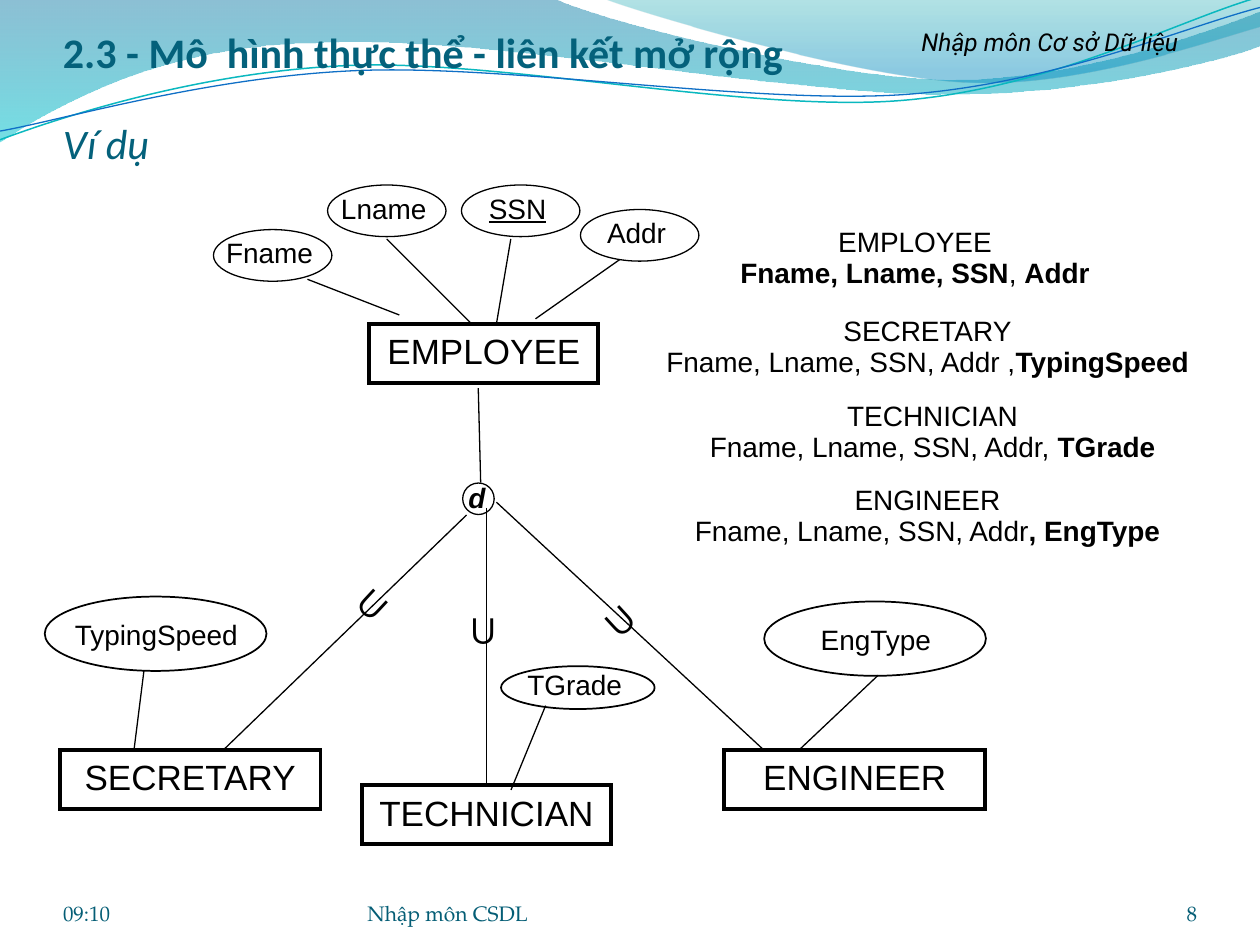
import pptx
import pptx.dml.color
import pptx.enum.shapes
import pptx.enum.text
import pptx.oxml.ns
import pptx.util
from lxml import etree

Pt = pptx.util.Pt
SHAPE = pptx.enum.shapes.MSO_SHAPE
ALIGN = pptx.enum.text.PP_ALIGN
ANCHOR = pptx.enum.text.MSO_ANCHOR
qn = pptx.oxml.ns.qn

BLACK, TITLE, FOOTER = "000000", "04617B", "045D75"
FOOTER_FONT = "TeX Gyre Pagella"

# Each path: a start point, then segments of one point (line) or three (curve)
WAVE_BANDS = [
    ([[(0, -0.7)], [(316.8, -0.7)],
      [(342.7, 12.2), (478.1, 45.4), (545.8, 45.4)],
      [(614.2, 45.4), (689.8, 18.7), (720, 6.5)], [(720.7, 25.9)],
      [(707.8, 31.7), (626.4, 54.7), (537.1, 54)],
      [(447.8, 54), (275, 20.2), (185, 24.5)],
      [(92.9, 25.2), (33.1, 59.8), (-0.7, 81.4)]],
     [(0, "0074A1", 45), (1, "00C6CF", 55)]),
    ([[(344.9, -0.7)],
      [(366.5, 7.9), (491, 44.6), (553.7, 46.8)],
      [(616.3, 49.7), (691.9, 23), (720, 15.1)], [(720, -0.7)]],
     [(0, "00A1A9", 30), (0.8, "008BBF", 45)]),
]
WAVE_TILT = 357.3
WAVE_LINES = [
    ([[(-1.4, 62.9)], [(33.8, 51.7), (114.1, 29.4), (199.8, 29.9)],
      [(284.9, 30.3), (425.8, 67.3), (512.4, 64.8)],
      [(599, 62.4), (676.4, 25.7), (720.2, 15.6)]], "0AB8BF", 0.85),
    ([[(-1.1, 57.9)], [(32.9, 53.7), (118.3, 32.5), (204.1, 33)],
      [(290.6, 33.4), (428.9, 63.1), (515.5, 61.4)],
      [(601.3, 59.6), (678.4, 30.1), (721.4, 21.3)]], "0F6FC6", 0.75),
]

ENTITIES = {  # left, top, width
    "EMPLOYEE": (211, 185, 131),
    "SECRETARY": (34.2, 428.4, 149),
    "TECHNICIAN": (207, 448.6, 142),
    "ENGINEER": (414, 428.4, 149),
}
ENTITY_HEIGHT = 33.7

# Oval size, line width, label offset and label width
SMALL = (67.7, 29.5, 0.75, (0, 0), 64.1)
FLAT = (87.8, 24.5, 1, (0, -2.9), 84.2)
LARGE = (126.7, 42.5, 1, (2.9, 8.6), 121.7)
ATTRIBUTES = [
    ("Fname", 122, 131.2, SMALL), ("Lname", 187.2, 105.7, SMALL),
    ("SSN", 263.7, 105.7, SMALL), ("Addr", 331.7, 119.7, SMALL),
    ("TypingSpeed", 25.6, 340.9, LARGE), ("TGrade", 286.3, 380.7, FLAT),
    ("EngType", 436.7, 343.7, LARGE),
]
KEY = "SSN"

LINKS = [
    (175.7, 159.6, 228.2, 180), (221, 136.6, 270, 185.6),
    (291.9, 136.6, 283.7, 185), (306, 182.2, 354.2, 148.3),
    (82.3, 383, 76.6, 428.4), (311.8, 403.2, 292, 451.4),
    (501.8, 385.9, 456.8, 428.4), (273.3, 221.8, 274.7, 275.8),
    (266.6, 294.3, 127.8, 428.4), (283.7, 287, 436.3, 428.4),
]
TECHNICIAN_LINK = (278, 290.2, 278, 448.6)
SUBSETS = [(198.5, 326.9, 42.9), (260.6, 340.6, 0), (337.4, 335.2, 317.5)]

RELATIONS = [  # name, (text, bold) runs, left, top, width
    ("EMPLOYEE", [("Fname, Lname, SSN", True), (", ", False), ("Addr", True)], 410.9, 128.2, 224),
    ("SECRETARY", [("Fname, Lname, SSN, Addr ,", False), ("TypingSpeed", True)], 377, 179.1, 306),
    ("TECHNICIAN", [("Fname, Lname, SSN, Addr, ", False), ("TGrade", True)], 377, 227.5, 311.8),
    ("ENGINEER", [("Fname, Lname, SSN, Addr", False), (", EngType", True)], 374.1, 275.8, 311.8),
]

deck = pptx.Presentation()
deck.slide_width, deck.slide_height = Pt(720), Pt(540)
slide = deck.slides.add_slide(deck.slide_layouts[6])
shapes = slide.shapes


def rgb(value):
    return pptx.dml.color.RGBColor.from_string(value)


def write(holder, text, size=16, font="Arial", color=BLACK, align=ALIGN.LEFT,
          anchor=ANCHOR.TOP, insets=(7.2, 3.6, 7.2, 3.6), bold=False,
          italic=False, underline=False):
    """Fill a shape; text is a string or a list of paragraphs of (text, bold) runs."""
    frame = holder.text_frame
    frame.word_wrap = True
    frame.vertical_anchor = anchor
    (frame.margin_left, frame.margin_top,
     frame.margin_right, frame.margin_bottom) = map(Pt, insets)
    lines = [[(text, bold)]] if isinstance(text, str) else text
    for number, line in enumerate(lines):
        paragraph = frame.add_paragraph() if number else frame.paragraphs[0]
        paragraph.alignment = align
        if number:
            paragraph.line_spacing = 0.8
            paragraph.space_before = Pt(2.4)
        for words, strong in line:
            run = paragraph.add_run()
            run.text = words
            run.font.size, run.font.name = Pt(size), font
            run.font.bold, run.font.italic = strong, italic
            run.font.underline = underline
            run.font.color.rgb = rgb(color)


def label(text, left, top, width, height, rotation=0, **style):
    box = shapes.add_textbox(Pt(left), Pt(top), Pt(width), Pt(height))
    box.rotation = rotation
    write(box, text, **style)


def outline(kind, left, top, width, height, weight):
    shape = shapes.add_shape(kind, Pt(left), Pt(top), Pt(width), Pt(height))
    shape.shadow.inherit = False
    shape.fill.background()
    shape.line.color.rgb = rgb(BLACK)
    shape.line.width = Pt(weight)
    return shape


def link(x1, y1, x2, y2):
    line = shapes.add_connector(pptx.enum.shapes.MSO_CONNECTOR.STRAIGHT,
                                Pt(x1), Pt(y1), Pt(x2), Pt(y2))
    line.line.color.rgb = rgb(BLACK)
    line.line.width = Pt(0.75)
    etree.SubElement(line.element.spPr, qn("a:effectLst"))
    return line


def wave(segments, closed):
    """Build a freeform through all points, then turn each triple into a Bezier curve."""
    start, *corners = [(Pt(x), Pt(y)) for segment in segments for x, y in segment]
    builder = shapes.build_freeform(*start)
    builder.add_line_segments(corners, close=closed)
    shape = builder.convert_to_shape()
    shape.shadow.inherit = False
    pieces = iter(list(shape.element.spPr.iter(qn("a:lnTo"))))
    for segment in segments[1:]:
        first, *others = [next(pieces) for _ in segment]
        if others:
            first.tag = qn("a:cubicBezTo")
        for other in others:
            first.append(other[0])
            other.getparent().remove(other)
    return shape


for segments, stops in WAVE_BANDS:
    band = wave(segments, True)
    band.line.fill.background()
    band.fill.gradient()
    band.fill.gradient_angle = 270
    for stop, (position, color, _) in zip(band.fill.gradient_stops, stops):
        stop.position = position
        stop.color.rgb = rgb(color)
    for node, (_, _, opacity) in zip(band.element.spPr.iter(qn("a:srgbClr")), stops):
        etree.SubElement(node, qn("a:alpha")).set("val", str(opacity * 1000))
for segments, color, weight in WAVE_LINES:
    curve = wave(segments, False)
    curve.rotation = WAVE_TILT
    curve.fill.background()
    curve.line.color.rgb = rgb(color)
    curve.line.width = Pt(weight)

heading = dict(size=24, font="Calibri", color=TITLE, anchor=ANCHOR.BOTTOM, insets=(0, 3.6, 0, 0))
label("2.3 - Mô  hình thực thể - liên kết mở rộng", 36, 18, 648, 26, bold=True, **heading)
label("Ví dụ", 36, 55.4, 648, 40.3, italic=True, **heading)
label("Nhập môn Cơ sở Dữ liệu", 480, 12.2, 240, 24.5, size=14, font="Roboto",
      align=ALIGN.CENTER, italic=True)

entity_boxes = {}
for name, (left, top, width) in ENTITIES.items():
    box = outline(SHAPE.RECTANGLE, left, top, width, ENTITY_HEIGHT, 2.25)
    etree.SubElement(box.element.spPr.find(qn("a:ln")), qn("a:miter")).set("lim", "800000")
    write(box, name, size=20, align=ALIGN.CENTER)
    entity_boxes[name] = box

for ends in LINKS:
    link(*ends)
link(*TECHNICIAN_LINK).end_connect(entity_boxes["TECHNICIAN"], 0)

outline(SHAPE.OVAL, 264.4, 276, 18, 18, 0.75)
label("d", 260.6, 271, 39.6, 26.6, bold=True, italic=True)
for left, top, rotation in SUBSETS:
    label("∪", left, top, 33.1, 36, rotation, size=24)

for name, left, top, (width, height, weight, (dx, dy), label_width) in ATTRIBUTES:
    outline(SHAPE.OVAL, left, top, width, height, weight)
    label(name, left + dx, top + dy, label_width, 26.6, align=ALIGN.CENTER, underline=name == KEY)

for name, fields, left, top, width in RELATIONS:
    label([[(name, False)], fields], left, top, width, 37.4, align=ALIGN.CENTER, insets=(0,) * 4)

for text, left, width, align in [("09:10", 36, 168, ALIGN.LEFT),
                                 ("Nhập môn CSDL", 210, 264, ALIGN.LEFT),
                                 ("8", 624, 60, ALIGN.RIGHT)]:
    label(text, left, 500.4, width, 28.8, size=12, font=FOOTER_FONT, color=FOOTER,
          align=align, anchor=ANCHOR.BOTTOM, insets=(0,) * 4)

deck.save("out.pptx")
